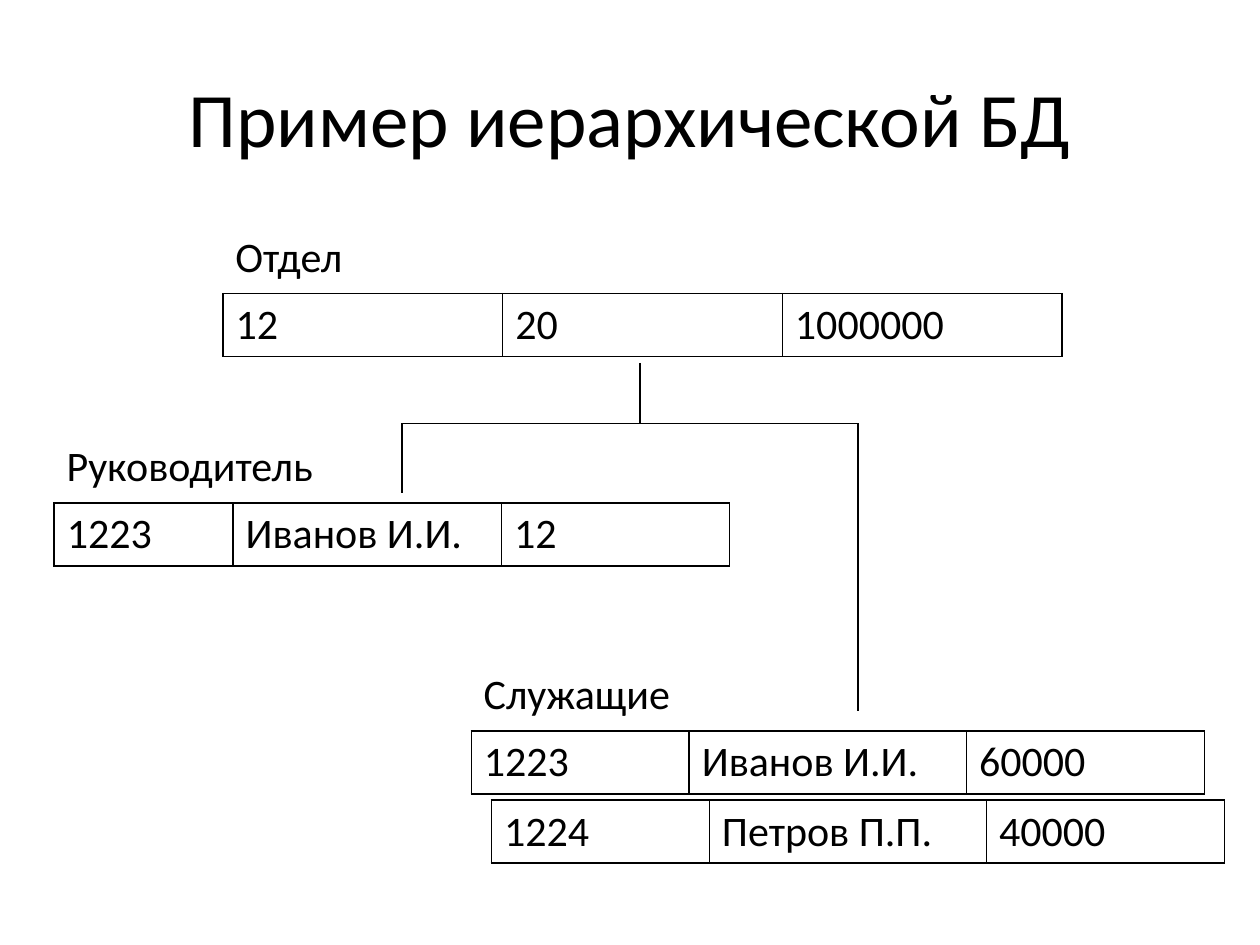
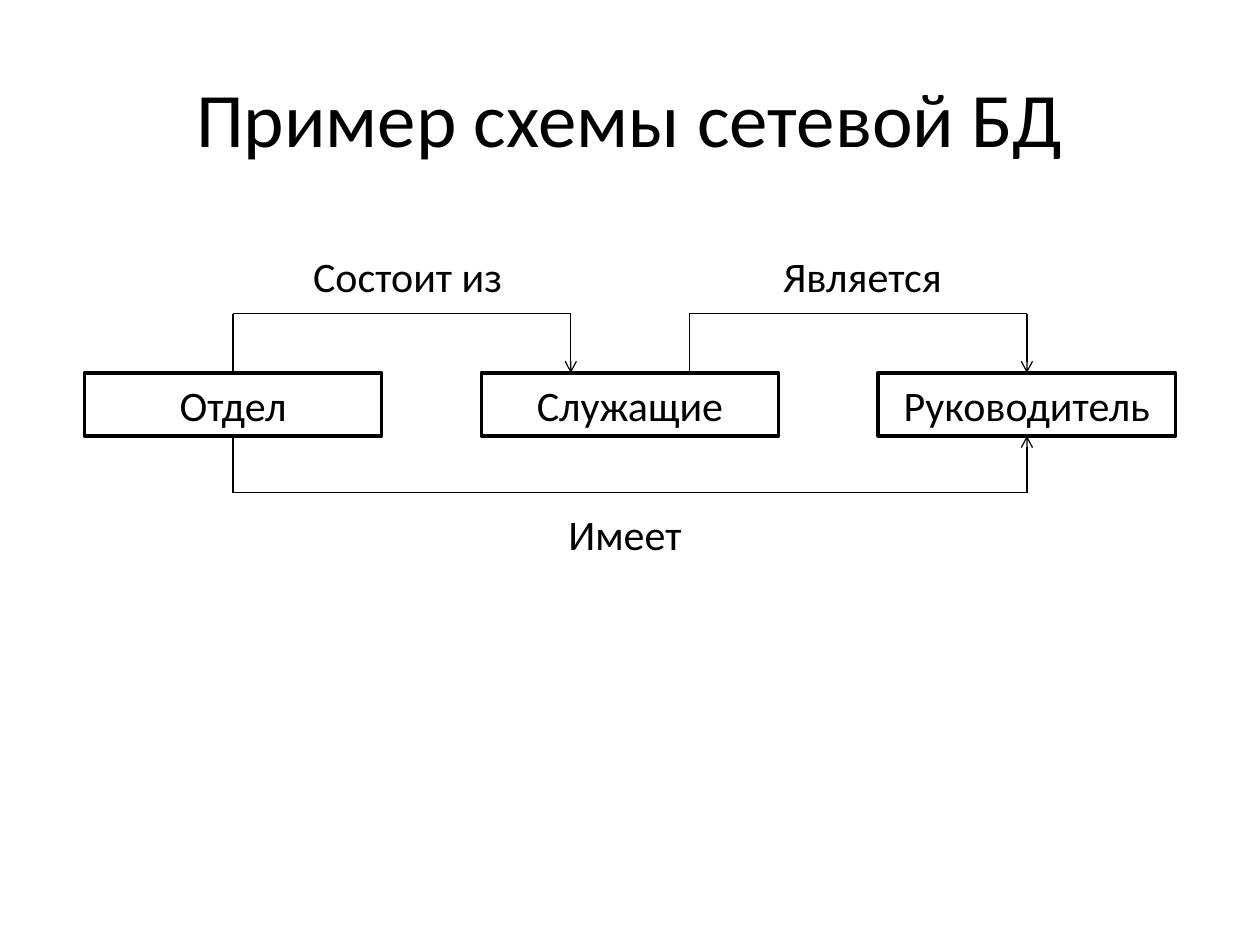
"""Build two slides with a hierarchical and a network database diagram."""
import itertools

import pptx
import pptx.dml.color
import pptx.enum.shapes
import pptx.enum.text
import pptx.oxml
import pptx.oxml.ns
import pptx.util

Inches = pptx.util.Inches
Pt = pptx.util.Pt
PP_ALIGN = pptx.enum.text.PP_ALIGN
ANCHOR = pptx.enum.text.MSO_ANCHOR

BLACK = pptx.dml.color.RGBColor(0, 0, 0)
WHITE = pptx.dml.color.RGBColor(255, 255, 255)
FONT = "Calibri"
BAR_HEIGHT = 0.5
LABEL_RISE = 0.55


def set_text(tf, text, size=24, color=BLACK, align=PP_ALIGN.LEFT):
    p = tf.paragraphs[0]
    p.alignment = align
    r = p.add_run()
    r.text = text
    r.font.name = FONT
    r.font.size = Pt(size)
    r.font.color.rgb = color


def add_label(s, text, left, top, width, height=BAR_HEIGHT, anchor=ANCHOR.TOP, **text_format):
    sp = s.shapes.add_textbox(Inches(left), Inches(top), Inches(width), Inches(height))
    tf = sp.text_frame
    tf.word_wrap = True
    tf.vertical_anchor = anchor
    set_text(tf, text, **text_format)


def add_titled_slide(prs, title):
    s = prs.slides.add_slide(prs.slide_layouts[6])
    s.background.fill.solid()
    s.background.fill.fore_color.rgb = WHITE
    add_label(s, title, 0.5, 0.3, 9, 1.25, ANCHOR.MIDDLE, size=44, align=PP_ALIGN.CENTER)
    return s


def add_borders(cell, width=1):
    tc_pr = cell._tc.get_or_add_tcPr()
    for side in ("lnL", "lnR", "lnT", "lnB"):
        tc_pr.append(pptx.oxml.parse_xml(
            f'<a:{side} {pptx.oxml.ns.nsdecls("a")} w="{Pt(width)}">'
            f'<a:solidFill><a:srgbClr val="{BLACK}"/></a:solidFill></a:{side}>'))


def add_record(s, values, left, top, widths):
    frame = s.shapes.add_table(1, len(values), Inches(left), Inches(top),
                               Inches(sum(widths)), Inches(BAR_HEIGHT))
    table = frame.table
    table.first_row = False
    table.horz_banding = False
    for column, width in zip(table.columns, widths):
        column.width = Inches(width)
    for cell, value in zip(table.rows[0].cells, values):
        add_borders(cell)
        cell.fill.background()
        set_text(cell.text_frame, value)


def add_path(s, points, arrow=False):
    for (x1, y1), (x2, y2) in itertools.pairwise(points):
        line = s.shapes.add_connector(pptx.enum.shapes.MSO_CONNECTOR.STRAIGHT,
                                      Inches(x1), Inches(y1), Inches(x2), Inches(y2))
        line.line.color.rgb = BLACK
        line.line.width = Pt(0.75)
        sp_pr = line._element.spPr
        sp_pr.append(pptx.oxml.parse_xml(f'<a:effectLst {pptx.oxml.ns.nsdecls("a")}/>'))
        if arrow and (x2, y2) == points[-1]:
            sp_pr.find(pptx.oxml.ns.qn("a:ln")).append(pptx.oxml.parse_xml(
                f'<a:tailEnd {pptx.oxml.ns.nsdecls("a")} type="arrow"/>'))


def add_entity(s, text, left, top, width):
    sp = s.shapes.add_shape(pptx.enum.shapes.MSO_SHAPE.RECTANGLE, Inches(left), Inches(top),
                            Inches(width), Inches(BAR_HEIGHT))
    sp.shadow.inherit = False
    sp.fill.solid()
    sp.fill.fore_color.rgb = WHITE
    sp.line.color.rgb = BLACK
    sp.line.width = Pt(2)
    sp.text_frame.word_wrap = True
    set_text(sp.text_frame, text, align=PP_ALIGN.CENTER)


def build_hierarchy(prs):
    s = add_titled_slide(prs, "Пример иерархической БД")
    staff_widths = (1.73, 2.2, 1.89)
    records = (
        ("Отдел", ("12", "20", "1000000"), 1.77, 2.33, (2.22, 2.22, 2.22)),
        ("Руководитель", ("1223", "Иванов И.И.", "12"), 0.43, 3.99, (1.42, 2.13, 1.81)),
        ("Служащие", ("1223", "Иванов И.И.", "60000"), 3.74, 5.8, staff_widths),
    )
    for name, values, left, top, widths in records:
        add_record(s, values, left, top, widths)
        add_label(s, name, left, top - LABEL_RISE, 2.68)
    add_record(s, ("1224", "Петров П.П.", "40000"), 3.9, 6.35, staff_widths)

    trunk, manager, staff, fork = 5.08, 3.19, 6.81, 3.36
    add_path(s, [(trunk, 2.88), (trunk, fork)])
    add_path(s, [(manager, 3.91), (manager, fork), (staff, fork), (staff, 5.64)])


def build_network(prs):
    s = add_titled_slide(prs, "Пример схемы сетевой БД")
    top, width, first, pitch = 2.96, 2.36, 0.67, 3.15
    for i, name in enumerate(("Отдел", "Служащие", "Руководитель")):
        add_entity(s, name, first + i * pitch, top, width)

    for text, left, label_top, label_width in (("Состоит из", 2.17, 1.94, 2.13),
                                               ("Является", 6.02, 1.94, 1.65),
                                               ("Имеет", 4.29, 3.99, 1.34)):
        add_label(s, text, left, label_top, label_width, align=PP_ALIGN.CENTER)

    department = first + width / 2
    staff = department + pitch
    manager = staff + pitch
    port = 0.47
    bottom = top + BAR_HEIGHT
    for start, end, edge, level in ((department, staff - port, top, 2.49),
                                    (department, manager, bottom, 3.91),
                                    (staff + port, manager, top, 2.49)):
        add_path(s, [(start, edge), (start, level), (end, level), (end, edge)], arrow=True)


def main():
    prs = pptx.Presentation()
    prs.slide_width = Inches(10)
    prs.slide_height = Inches(7.5)
    build_hierarchy(prs)
    build_network(prs)
    prs.save("out.pptx")


main()
